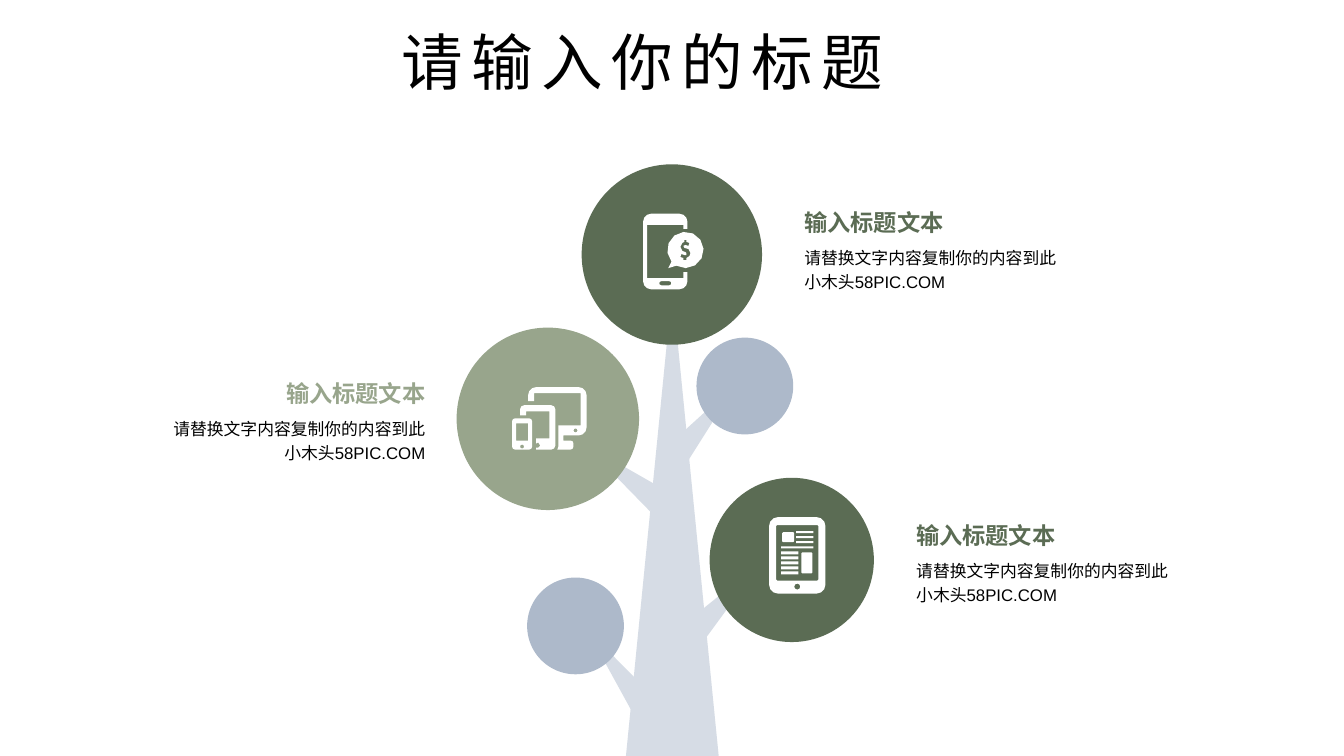
"""Build a tree diagram slide with three captioned icon circles."""
import math
from dataclasses import dataclass

import lxml.etree
import pptx
import pptx.dml.color
import pptx.enum.shapes
import pptx.enum.text
import pptx.oxml.ns
import pptx.util

Inches = pptx.util.Inches
ALIGN = pptx.enum.text.PP_ALIGN
ANCHOR = pptx.enum.text.MSO_ANCHOR
AUTO_SIZE = pptx.enum.text.MSO_AUTO_SIZE
SHAPE = pptx.enum.shapes.MSO_SHAPE
Point = tuple[float, float]
Outline = list[Point]

COLORS = {
    "text": "000000",
    "dark": "5B6C54",
    "light": "98A58C",
    "wood": "D6DCE5",
    "bud": "ADB9CA",
    "icon": "FFFFFF",
}
CJK_FONT = "Noto Sans CJK SC"
HEADING = "输入标题文本"
BODY = "请替换文字内容复制你的内容到此\v小木头58PIC.COM"


@dataclass(frozen=True)
class Wood:
    left: float
    top: float
    width: float
    height: float
    rotation: float = 0


@dataclass(frozen=True)
class Crown:
    left: float
    top: float
    diameter: float
    color: str


@dataclass(frozen=True)
class Caption:
    left: float
    top: float
    body_left: float
    right: float
    color: str
    align: ALIGN = ALIGN.LEFT


WOODS = [
    Wood(6.21, 2.86, 0.92, 4.64),
    Wood(5.97, 6.15, 0.26, 0.93, 323.3),
    Wood(6.88, 3.68, 0.26, 0.96, 40),
    Wood(7.09, 5.43, 0.26, 0.99, 43.7),
    Wood(6.03, 4.22, 0.26, 0.93, 307.7),
]
CROWNS = [
    Crown(6.91, 3.35, 0.96, "bud"),
    Crown(5.23, 5.73, 0.96, "bud"),
    Crown(7.04, 4.74, 1.63, "dark"),
    Crown(5.77, 1.63, 1.79, "dark"),
    Crown(4.53, 3.25, 1.81, "light"),
]
CAPTIONS = [
    Caption(1.67, 3.76, 1.31, 4.3, "light", ALIGN.RIGHT),
    Caption(9.01, 5.17, 9.01, 11.7, "dark"),
    Caption(7.9, 2.07, 7.9, 10.59, "dark"),
]


def rgb(color: str) -> pptx.dml.color.RGBColor:
    return pptx.dml.color.RGBColor.from_string(COLORS[color])


def arc(x: float, y: float, radius: float, start: float, end: float) -> Outline:
    steps_per_quarter = 1 if radius < 0.02 else 2 if radius < 0.05 else 3
    steps = round((end - start) / 90 * steps_per_quarter)
    angles = [math.radians(start + (end - start) * i / steps) for i in range(steps + 1)]
    return [(x + radius * math.cos(a), y + radius * math.sin(a)) for a in angles]


def disc(x: float, y: float, radius: float) -> Outline:
    return arc(x, y, radius, 0, 360)[:-1]


def box(left: float, top: float, right: float, bottom: float) -> Outline:
    return [(left, top), (right, top), (right, bottom), (left, bottom)]


def panel(left: float, top: float, right: float, bottom: float, radius: float = 0.01) -> Outline:
    return (arc(left + radius, top + radius, radius, 180, 270)
            + arc(right - radius, top + radius, radius, 270, 360)
            + arc(right - radius, bottom - radius, radius, 0, 90)
            + arc(left + radius, bottom - radius, radius, 90, 180))


def news_tablet() -> list[Outline]:
    left_lines = [box(7.75, 5.47 + 0.05 * i, 7.92, 5.5 + 0.05 * i) for i in range(5)]
    right_lines = [box(7.9, 5.27 + 0.05 * i, 8.07, 5.29 + 0.05 * i) for i in range(3)]
    return [
        panel(7.63, 5.13, 8.19, 5.89, 0.09), panel(7.7, 5.21, 8.12, 5.76),
        disc(7.91, 5.82, 0.03), panel(7.76, 5.28, 7.88, 5.38),
        panel(7.95, 5.48, 8.06, 5.69), box(7.75, 5.42, 8.07, 5.44),
        *left_lines, *right_lines,
    ]


def payment_phone() -> list[Outline]:
    case = (arc(6.46, 2.79, 0.08, 90, 180) + arc(6.46, 2.2, 0.08, 180, 270)
            + arc(6.74, 2.2, 0.08, 270, 360)
            + [(6.82, 2.27), (6.78, 2.27), (6.78, 2.23), (6.42, 2.23),
               (6.42, 2.76), (6.78, 2.76), (6.78, 2.7), (6.82, 2.7)]
            + arc(6.74, 2.79, 0.08, 0, 90))
    bubble = arc(6.8, 2.48, 0.18, 140, 480) + [(6.63, 2.66)]
    dollar = [
        (6.79, 2.38), (6.79, 2.4), (6.77, 2.41), (6.75, 2.45), (6.77, 2.49),
        (6.8, 2.5), (6.81, 2.51), (6.81, 2.53), (6.79, 2.53), (6.76, 2.52),
        (6.75, 2.55), (6.78, 2.56), (6.78, 2.58), (6.81, 2.58),
        (6.81, 2.56), (6.84, 2.54), (6.85, 2.51), (6.83, 2.47), (6.79, 2.46),
        (6.78, 2.44), (6.8, 2.43), (6.83, 2.44), (6.84, 2.41),
        (6.81, 2.4), (6.81, 2.38),
    ]
    return [case, panel(6.54, 2.79, 6.66, 2.83, 0.02), bubble, dollar]


def three_screens() -> list[Outline]:
    tablet = (arc(5.2, 4.06, 0.04, 180, 270) + arc(5.47, 4.06, 0.04, 270, 360)
              + arc(5.47, 4.42, 0.04, 0, 90)
              + [(5.32, 4.46), (5.32, 4.44), (5.34, 4.44), (5.36, 4.42), (5.34, 4.39),
                 (5.32, 4.4), (5.32, 4.35), (5.45, 4.35), (5.45, 4.08), (5.22, 4.08),
                 (5.22, 4.12), (5.16, 4.12)])
    monitor = (arc(5.32, 3.92, 0.08, 180, 270) + arc(5.74, 3.92, 0.08, 270, 360)
               + arc(5.74, 4.24, 0.08, 0, 90) + [(5.59, 4.32), (5.59, 4.37)]
               + arc(5.66, 4.4, 0.03, 270, 360) + arc(5.66, 4.43, 0.03, 0, 90)
               + [(5.53, 4.46), (5.54, 4.43), (5.54, 4.22), (5.76, 4.22), (5.76, 3.9),
                  (5.3, 3.9), (5.3, 3.98), (5.24, 3.98)])
    return [panel(5.08, 4.15, 5.28, 4.46, 0.03), box(5.12, 4.2, 5.24, 4.37),
            disc(5.18, 4.43, 0.02), tablet, monitor, disc(5.71, 4.27, 0.02)]


def paint(shape, color: str) -> None:
    shape.shadow.inherit = False
    shape.fill.solid()
    shape.fill.fore_color.rgb = rgb(color)
    shape.line.fill.background()


def draw_icon(slide, outlines: list[Outline]) -> None:
    contours = [[(Inches(x), Inches(y)) for x, y in outline] for outline in outlines]
    builder = slide.shapes.build_freeform(*contours[0][0], scale=1.0)
    for index, contour in enumerate(contours):
        if index:
            builder.move_to(*contour[0])
        builder.add_line_segments(contour[1:], close=True)
    paint(builder.convert_to_shape(), "icon")


def draw_text(slide, text: str, place: tuple[float, float, float, float], *, size: float,
              color: str = "text", font: str = "Arial", bold: bool = False,
              align: ALIGN = ALIGN.LEFT, anchor: ANCHOR = ANCHOR.TOP, wrap: bool = True,
              line_spacing: float = 1.0, tracking: float = 0, grow: bool = False,
              inset: tuple[float, float] = (0.08, 0)) -> None:
    frame = slide.shapes.add_textbox(*map(Inches, place)).text_frame
    frame.auto_size = AUTO_SIZE.SHAPE_TO_FIT_TEXT if grow else AUTO_SIZE.NONE
    frame.word_wrap = wrap
    frame.vertical_anchor = anchor
    frame.margin_left = frame.margin_right = Inches(inset[0])
    frame.margin_top = frame.margin_bottom = Inches(inset[1])
    paragraph = frame.paragraphs[0]
    paragraph.text = text
    paragraph.alignment, paragraph.line_spacing = align, line_spacing
    for run in paragraph.runs:
        run.font.size, run.font.bold, run.font.name = pptx.util.Pt(size), bold, font
        run.font.color.rgb = rgb(color)
        properties = run._r.get_or_add_rPr()
        if tracking:
            properties.set("spc", str(round(tracking * 100)))
        lxml.etree.SubElement(properties, pptx.oxml.ns.qn("a:ea"), typeface=CJK_FONT)


def draw_caption(slide, caption: Caption) -> None:
    body_width, width = caption.right - caption.body_left, caption.right - caption.left
    draw_text(slide, BODY, (caption.body_left, caption.top + 0.27, body_width, 0.64),
              size=12, align=caption.align, anchor=ANCHOR.MIDDLE, line_spacing=1.2)
    draw_text(slide, HEADING, (caption.left, caption.top, width, 0.27),
              size=16.6, color=caption.color, bold=True, align=caption.align, wrap=False)


def main() -> None:
    deck = pptx.Presentation()
    deck.slide_width, deck.slide_height = Inches(40 / 3), Inches(7.5)
    slide = deck.slides.add_slide(deck.slide_layouts[6])
    draw_text(slide, "请输入你的标题", (3.51, 0.19, 5.72, 0.84), size=44, font=CJK_FONT,
              align=ALIGN.CENTER, tracking=6, grow=True, inset=(0.1, 0.05))
    for caption in CAPTIONS:
        draw_caption(slide, caption)
    for wood in WOODS:
        branch = slide.shapes.add_shape(SHAPE.ISOSCELES_TRIANGLE, *map(
            Inches, (wood.left, wood.top, wood.width, wood.height)))
        branch.rotation = wood.rotation
        paint(branch, "wood")
    for crown in CROWNS:
        paint(slide.shapes.add_shape(SHAPE.OVAL, *map(
            Inches, (crown.left, crown.top, crown.diameter, crown.diameter))), crown.color)
    for outlines in (news_tablet(), payment_phone(), three_screens()):
        draw_icon(slide, outlines)
    deck.save("out.pptx")


if __name__ == "__main__":
    main()
